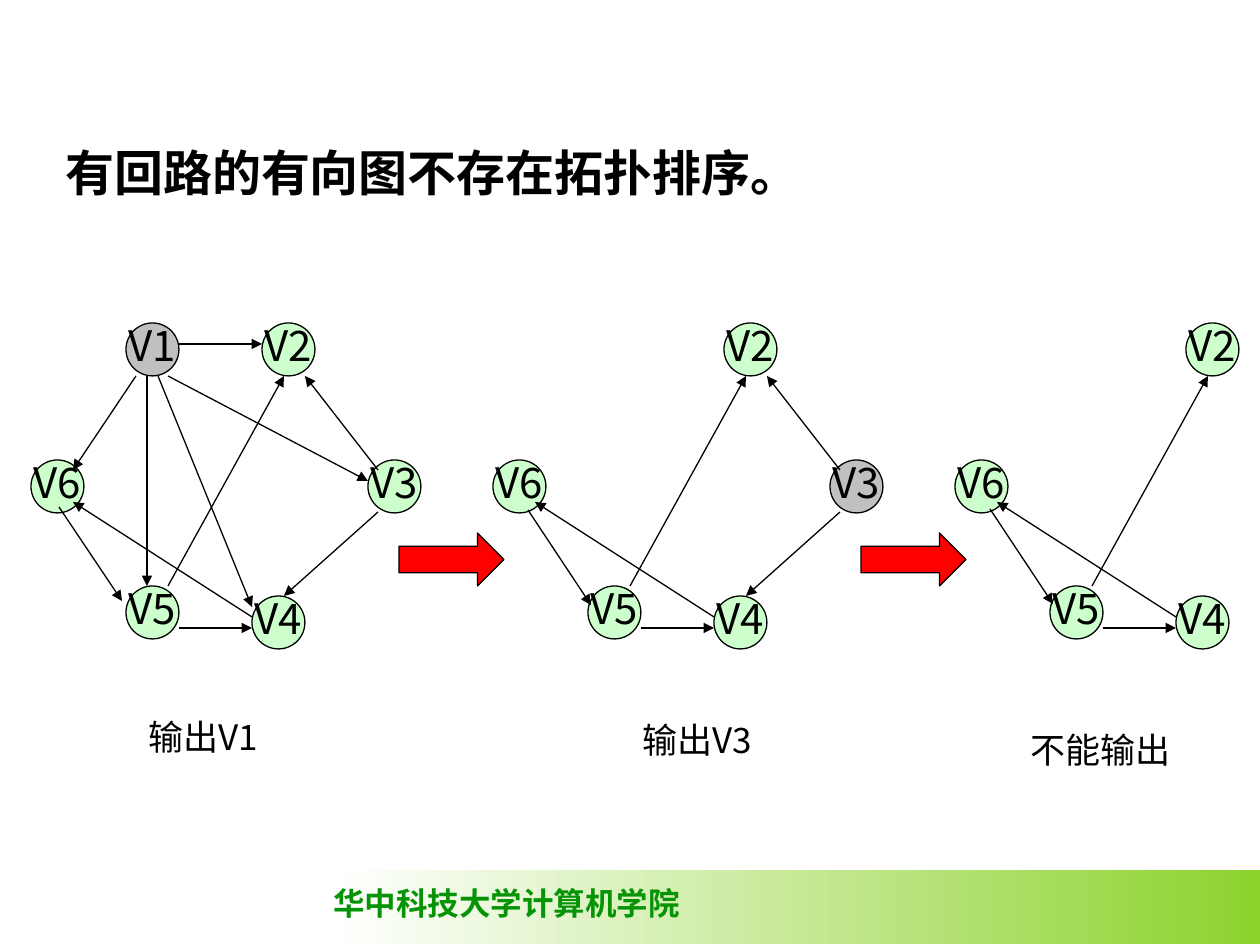
"""Build a slide showing that a directed graph with a cycle has no topological order."""
import pptx
import pptx.dml.color
import pptx.enum.dml
import pptx.enum.shapes
import pptx.enum.text
import pptx.oxml.ns
import pptx.util
from lxml import etree

SCALE = 914400 / 126
NODE_SIZE = 53
STAGE_STEP = 462
FONT = "Noto Sans CJK SC"
COLORS = {
    "ink": "000000",
    "node": "CCFFCC",
    "output_node": "C0C0C0",
    "step_arrow": "FF0000",
    "band": "8CD32D",
    "paper": "FFFFFF",
    "school": "069406",
}
NODES = {
    "V1": (126, 323),
    "V2": (262, 323),
    "V3": (368, 460),
    "V4": (252, 596),
    "V5": (126, 586),
    "V6": (31, 460),
}
EDGES = {
    ("V1", "V6"): (136, 376, 73, 470),
    ("V1", "V2"): (179, 344, 262, 344),
    ("V1", "V3"): (168, 376, 368, 481),
    ("V1", "V4"): (158, 376, 252, 607),
    ("V1", "V5"): (147, 376, 147, 586),
    ("V3", "V2"): (378, 470, 305, 376),
    ("V3", "V4"): (378, 512, 284, 596),
    ("V5", "V2"): (168, 586, 284, 376),
    ("V4", "V6"): (252, 617, 73, 502),
    ("V5", "V4"): (179, 628, 252, 628),
}
STAGES = [
    {"removed": (), "output": "V1", "cycle_edge": (59, 507, 122, 601),
     "caption": "输出V1", "caption_box": (136, 709, 158, 55)},
    {"removed": ("V1",), "output": "V3", "cycle_edge": (66, 510, 129, 605),
     "caption": "输出V3", "caption_box": (630, 712, 158, 55)},
    {"removed": ("V1", "V3"), "output": None, "cycle_edge": (66, 509, 129, 604),
     "caption": "不能输出", "caption_box": (1018, 722, 210, 55)},
]


def px(*lengths):
    return [pptx.util.Emu(round(length * SCALE)) for length in lengths]


def rgb(name):
    return pptx.dml.color.RGBColor.from_string(COLORS[name])


def write(shape, text, size, color="ink", bold=False, font=FONT,
          align=pptx.enum.text.PP_ALIGN.LEFT, spacing=None, wrap=True):
    frame = shape.text_frame
    frame.word_wrap = wrap
    paragraph = frame.paragraphs[0]
    paragraph.alignment = align
    paragraph.line_spacing = spacing
    run = paragraph.add_run()
    run.text = text
    run.font.size = pptx.util.Pt(size)
    run.font.bold = bold
    run.font.color.rgb = rgb(color)
    run.font.name = font
    east_asian = etree.SubElement(run.font._element, pptx.oxml.ns.qn("a:ea"))
    east_asian.set("typeface", FONT)


def add_label(slide, box, text, size, **style):
    label = slide.shapes.add_textbox(*px(*box))
    write(label, text, size, **style)
    label.text_frame.auto_size = pptx.enum.text.MSO_AUTO_SIZE.SHAPE_TO_FIT_TEXT


def add_outlined(slide, kind, box, fill):
    shape = slide.shapes.add_shape(kind, *px(*box))
    shape.shadow.inherit = False
    shape.fill.solid()
    shape.fill.fore_color.rgb = rgb(fill)
    shape.line.color.rgb = rgb("ink")
    shape.line.width = pptx.util.Pt(0.75)
    return shape


def add_node(slide, name, left, top, fill):
    node = add_outlined(slide, pptx.enum.shapes.MSO_SHAPE.OVAL,
                        (left, top, NODE_SIZE, NODE_SIZE), fill)
    node.text_frame.vertical_anchor = pptx.enum.text.MSO_ANCHOR.MIDDLE
    write(node, name, 24, align=pptx.enum.text.PP_ALIGN.CENTER, spacing=0.8, wrap=False)


def add_edge(slide, ends, shift):
    x1, y1, x2, y2 = ends
    edge = slide.shapes.add_connector(pptx.enum.shapes.MSO_CONNECTOR.STRAIGHT,
                                      *px(x1 + shift, y1, x2 + shift, y2))
    edge.line.color.rgb = rgb("ink")
    edge.line.width = pptx.util.Pt(0.75)
    head = etree.SubElement(edge.line._get_or_add_ln(), pptx.oxml.ns.qn("a:tailEnd"))
    head.set("type", "triangle")
    etree.SubElement(edge._element.spPr, pptx.oxml.ns.qn("a:effectLst"))


def add_stage(slide, stage, shift):
    for name, (left, top) in NODES.items():
        if name not in stage["removed"]:
            fill = "output_node" if name == stage["output"] else "node"
            add_node(slide, name, left + shift, top, fill)
    for (start, _), ends in EDGES.items():
        if start not in stage["removed"]:
            add_edge(slide, ends, shift)
    add_edge(slide, stage["cycle_edge"], shift)
    add_label(slide, stage["caption_box"], stage["caption"], 20)


def add_footer(slide):
    band = slide.shapes.add_shape(pptx.enum.shapes.MSO_SHAPE.RECTANGLE,
                                  *px(336, 870, 924, 74))
    band.shadow.inherit = False
    band.line.fill.background()
    band.fill.gradient()
    band.fill.gradient_angle = 180
    for stop, color in zip(band.fill.gradient_stops, ("band", "paper")):
        stop.color.rgb = rgb(color)
    add_label(slide, (321, 878, 372, 50), "华中科技大学计算机学院", 18,
              color="school", bold=True, font="Times New Roman", wrap=False)


def main():
    deck = pptx.Presentation()
    deck.slide_width, deck.slide_height = px(1260, 945)
    slide = deck.slides.add_slide(deck.slide_layouts[6])
    add_footer(slide)
    add_label(slide, (53, 136, 935, 72), "有回路的有向图不存在拓扑排序。", 28, bold=True)
    for index, stage in enumerate(STAGES):
        shift = index * STAGE_STEP
        add_stage(slide, stage, shift)
        if index < len(STAGES) - 1:
            add_outlined(slide, pptx.enum.shapes.MSO_SHAPE.RIGHT_ARROW,
                         (399 + shift, 533, 105, 53), "step_arrow")
    deck.save("out.pptx")


if __name__ == "__main__":
    main()
